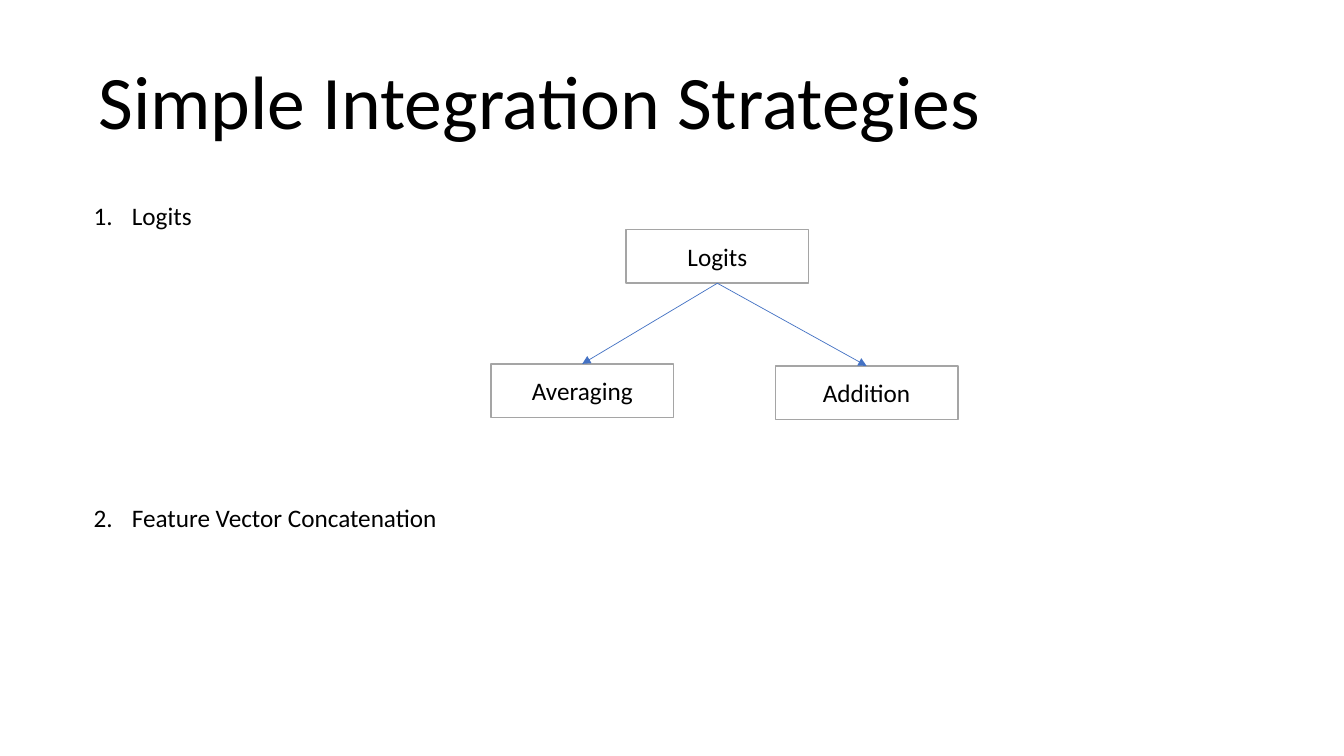
import pptx
import pptx.util
import pptx.dml.color
import pptx.enum.shapes
import pptx.enum.text
import pptx.oxml.ns
import lxml.etree

Inches = pptx.util.Inches
Pt = pptx.util.Pt
CENTER = pptx.enum.text.PP_ALIGN.CENTER

COLORS = {"text": "000000", "box": "FFFFFF", "border": "A5A5A5", "arrow": "4472C4"}
FONT = "Calibri"
BOX_WIDTH, BOX_HEIGHT = 1.81, 0.53
BOTTOM_SITE, TOP_SITE = 2, 0


def rgb(name):
    return pptx.dml.color.RGBColor.from_string(COLORS[name])


def add_child(parent, tag, **attributes):
    return lxml.etree.SubElement(parent, pptx.oxml.ns.qn(tag), attributes)


def format_text(text_frame, size):
    for para in text_frame.paragraphs:
        for span in para.runs:
            span.font.name = FONT
            span.font.size = Pt(size)
            span.font.color.rgb = rgb("text")


def add_text(slide, text, left, top, width, height, size):
    box = slide.shapes.add_textbox(Inches(left), Inches(top), Inches(width), Inches(height))
    box.text_frame.text = text
    box.text_frame.word_wrap = False
    format_text(box.text_frame, size)
    return box


def number_paragraphs(box, gap):
    for index, para in enumerate(box.text_frame.paragraphs):
        if index:
            para.space_before = Pt(gap)
        properties = para._p.get_or_add_pPr()
        properties.set("marL", str(Inches(0.38)))
        properties.set("indent", str(-Inches(0.38)))
        add_child(properties, "a:buFont", typeface="+mj-lt")
        add_child(properties, "a:buAutoNum", type="arabicPeriod")


def add_node(slide, text, left, top):
    node = slide.shapes.add_shape(
        pptx.enum.shapes.MSO_SHAPE.RECTANGLE,
        Inches(left), Inches(top), Inches(BOX_WIDTH), Inches(BOX_HEIGHT))
    node.shadow.inherit = False
    node.fill.solid()
    node.fill.fore_color.rgb = rgb("box")
    node.line.color.rgb = rgb("border")
    node.line.width = Pt(1)
    node.text_frame.text = text
    node.text_frame.vertical_anchor = pptx.enum.text.MSO_ANCHOR.MIDDLE
    node.text_frame.paragraphs[0].alignment = CENTER
    format_text(node.text_frame, 18)
    return node


def add_arrow(slide, parent, child):
    arrow = slide.shapes.add_connector(pptx.enum.shapes.MSO_CONNECTOR.STRAIGHT, 0, 0, 0, 0)
    arrow.begin_connect(parent, BOTTOM_SITE)
    arrow.end_connect(child, TOP_SITE)
    arrow.line.color.rgb = rgb("arrow")
    arrow.line.width = Pt(0.5)
    add_child(arrow.line._get_or_add_ln(), "a:tailEnd", type="triangle")
    add_child(arrow._element.spPr, "a:effectLst")


def main():
    deck = pptx.Presentation()
    deck.slide_width, deck.slide_height = Inches(13.33), Inches(7.5)
    slide = deck.slides.add_slide(deck.slide_layouts[6])

    # Numbered strategies
    strategies = add_text(slide, "Logits\nFeature Vector Concatenation", 0.83, 1.94, 3.64, 3.43, 18)
    number_paragraphs(strategies, gap=194)

    # Title
    title = add_text(slide, "Simple Integration Strategies", 0.83, 0.49, 9.04, 1.01, 54)
    title.text_frame.paragraphs[0].alignment = CENTER

    # Tree of logit operations
    logits = add_node(slide, "Logits", 6.21, 2.28)
    addition = add_node(slide, "Addition", 7.69, 3.63)
    averaging = add_node(slide, "Averaging", 4.87, 3.61)
    for operation in (averaging, addition):
        add_arrow(slide, logits, operation)

    deck.save("out.pptx")


main()
